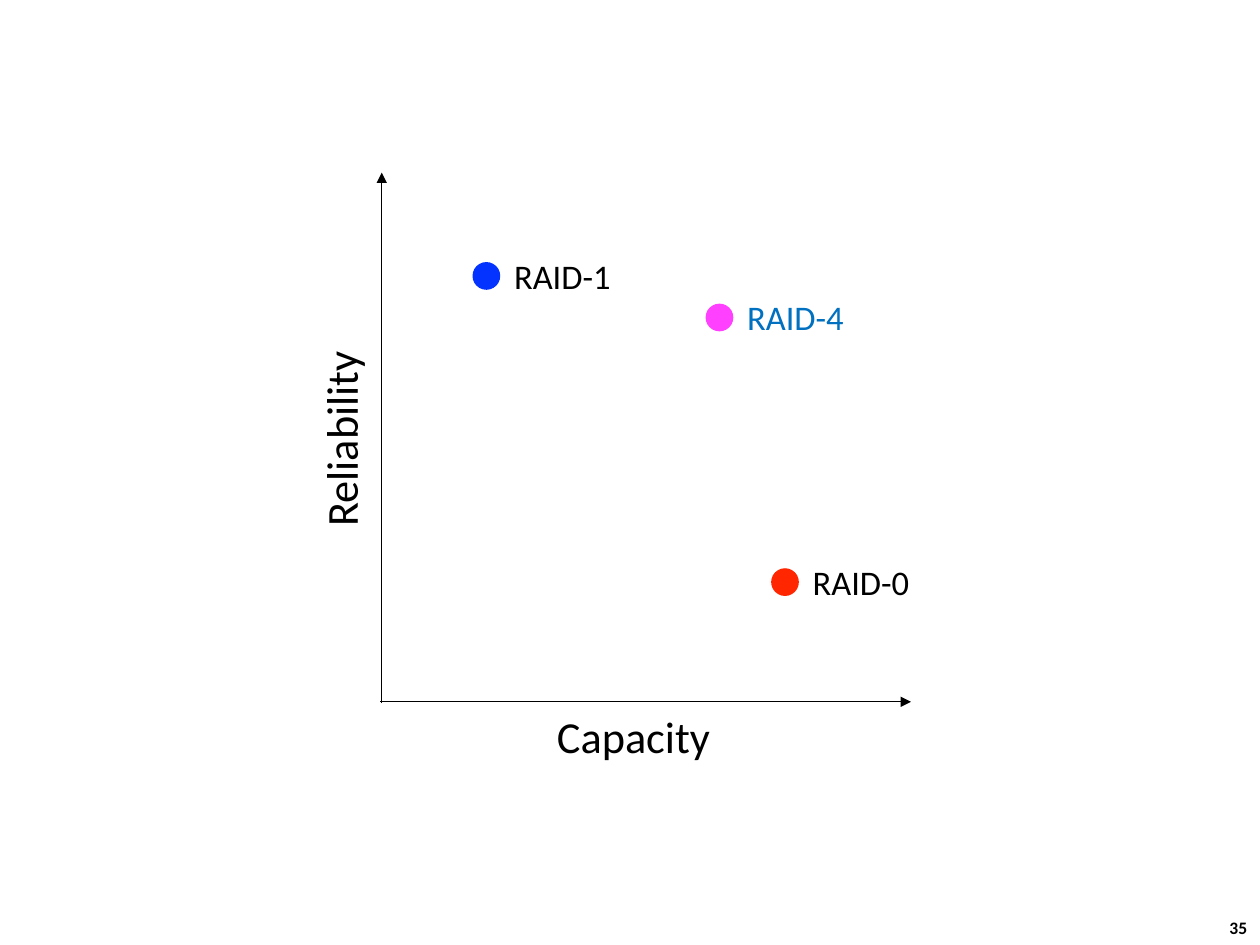
from dataclasses import dataclass

from lxml import etree
from pptx import Presentation
from pptx import util as u
from pptx.dml.color import RGBColor
from pptx.enum import shapes, text
from pptx.oxml import ns


@dataclass(frozen=True)
class Theme:
    font: str = "Calibri"
    black: str = "000000"
    accent: str = "0070C0"
    red: str = "FF2600"
    blue: str = "0433FF"
    magenta: str = "FF40FF"
    axis_size: float = 25.3
    label_size: float = 19.7
    number_size: float = 10


theme = Theme()
presentation = Presentation()
presentation.slide_width = u.Inches(10)
presentation.slide_height = u.Inches(7.5)
slide = presentation.slides.add_slide(presentation.slide_layouts[6])


def add_label(wording, box, size, color=theme.black, inset=0.04, bold=False):
    shape = slide.shapes.add_textbox(*map(u.Inches, box))
    frame = shape.text_frame
    frame_format = {
        "word_wrap": False,
        "auto_size": text.MSO_AUTO_SIZE.SHAPE_TO_FIT_TEXT,
        "vertical_anchor": text.MSO_ANCHOR.MIDDLE,
        "margin_left": u.Inches(inset),
        "margin_right": u.Inches(inset),
        "margin_top": u.Inches(0.04),
        "margin_bottom": u.Inches(0.04),
    }
    for name, value in frame_format.items():
        setattr(frame, name, value)
    paragraph = frame.paragraphs[0]
    run = paragraph.add_run()
    run.text = wording
    font_format = {"name": theme.font, "size": u.Pt(size), "bold": bold}
    for name, value in font_format.items():
        setattr(run.font, name, value)
    run.font.color.rgb = RGBColor.from_string(color)
    return shape


# Page number
add_label("35", (9.66, 7.23, 0.37, 0.27), theme.number_size, inset=0.1, bold=True)

# Axes with arrowheads
for start_x, start_y, end_x, end_y in ((3.02, 5.57, 7.23, 5.57), (3.03, 5.58, 3.03, 1.37)):
    axis = slide.shapes.add_connector(
        shapes.MSO_CONNECTOR.STRAIGHT,
        u.Inches(start_x), u.Inches(start_y), u.Inches(end_x), u.Inches(end_y),
    )
    axis.line.width = u.Pt(0.75)
    axis.line.color.rgb = RGBColor.from_string(theme.black)
    properties = axis.line._get_or_add_ln()
    etree.SubElement(properties, ns.qn("a:tailEnd"), type="triangle")
    etree.SubElement(properties.getparent(), ns.qn("a:effectLst"))

# Axis titles
add_label("Capacity", (4.38, 5.59, 1.31, 0.5), theme.axis_size)
reliability = add_label("Reliability", (1.96, 3.23, 1.48, 0.5), theme.axis_size)
reliability.rotation = 270

# RAID levels: a dot with its label to the right
dot_size = 0.22
levels = (
    ("RAID-0", 6.12, 4.51, theme.red, theme.black),
    ("RAID-1", 3.75, 2.08, theme.blue, theme.black),
    ("RAID-4", 5.6, 2.41, theme.magenta, theme.accent),
)
for level, left, top, dot_color, label_color in levels:
    dot = slide.shapes.add_shape(
        shapes.MSO_SHAPE.OVAL,
        u.Inches(left), u.Inches(top), u.Inches(dot_size), u.Inches(dot_size),
    )
    dot.shadow.inherit = False
    dot.fill.solid()
    dot.fill.fore_color.rgb = RGBColor.from_string(dot_color)
    dot.line.fill.background()
    add_label(level, (left + 0.29, top - 0.1, 0.85, 0.41), theme.label_size, label_color)

presentation.save("out.pptx")
